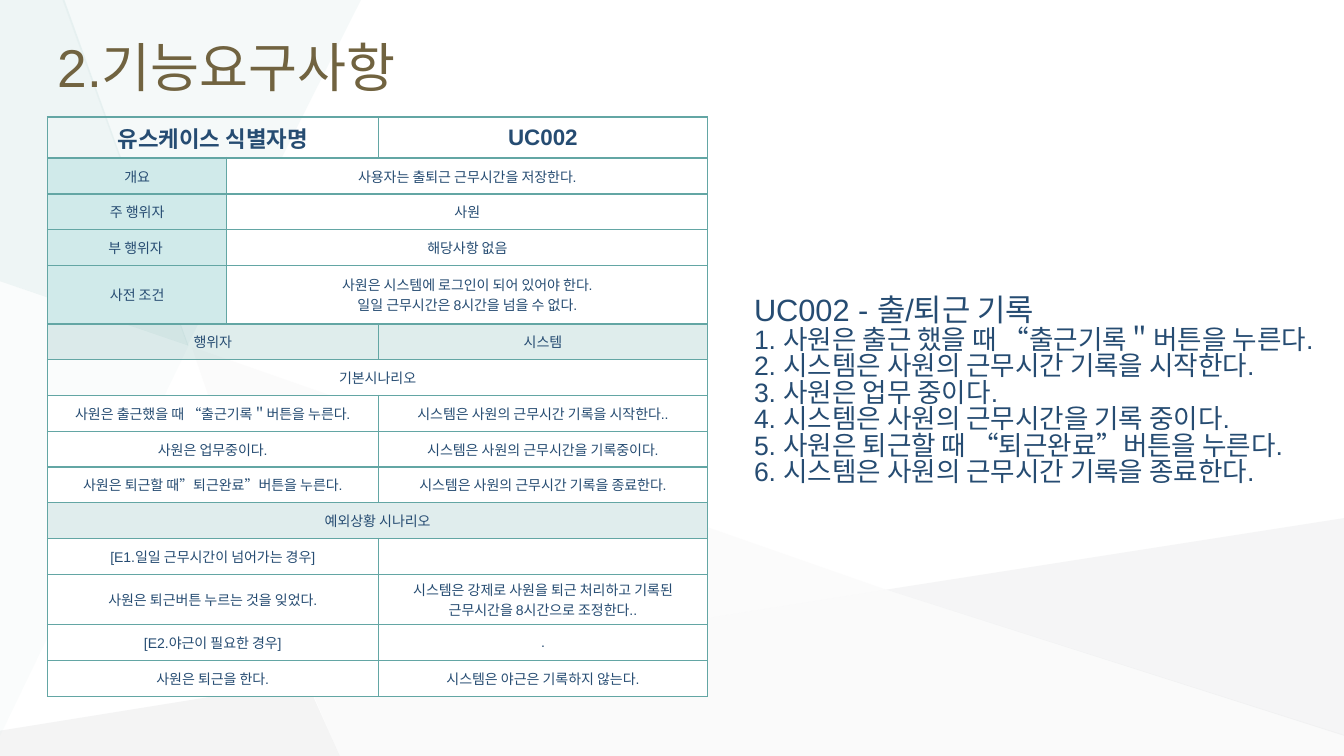
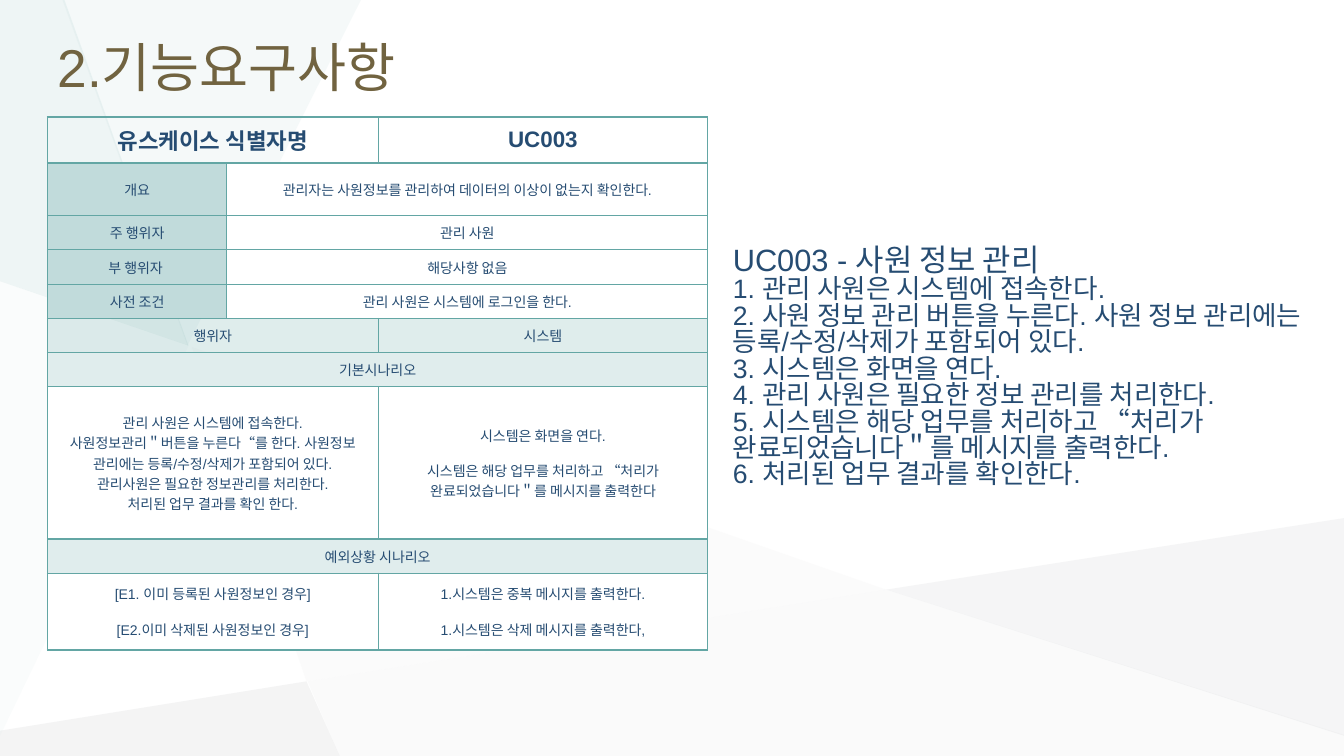
from pptx import Presentation
from pptx.dml.color import RGBColor
from pptx.enum.text import MSO_ANCHOR, PP_ALIGN
from pptx.oxml import parse_xml
from pptx.oxml.ns import nsdecls, qn
from pptx.util import Inches, Pt

LEFT, CENTER = PP_ALIGN.LEFT, PP_ALIGN.CENTER
MIDDLE = MSO_ANCHOR.MIDDLE

FONT = "Arial"
NAVY = RGBColor(0x26, 0x4C, 0x72)
OLIVE = RGBColor(0x71, 0x63, 0x40)
TEAL = RGBColor(0x63, 0xA6, 0xA4)
AQUA = RGBColor(0xD0, 0xEA, 0xEA)
SAGE = RGBColor(0xC1, 0xDB, 0xDB)
MINT = RGBColor(0xE0, 0xED, 0xED)
WHITE = RGBColor(0xFF, 0xFF, 0xFF)
PALE = RGBColor(0xF3, 0xF2, 0xF2)
SILVER = RGBColor(0xC6, 0xC8, 0xCA)
GRAY = RGBColor(0xB6, 0xB8, 0xBA)

TITLE = "2.기능요구사항"
COLS = [1.78, 1.5, 3.27]

# Facets of the background: colour, opacity in percent, corners
FACETS = [
    (PALE, 26, [(1.9, 3.44), (3.04, 6.76), (8.79, 5.85)]),
    (GRAY, 15, [(3.04, 6.76), (0, 7.25), (0, 7.5), (3.37, 7.5)]),
    (MINT, 31, [(3.58, 0), (0.62, 0), (1.86, 3.43)]),
    (SILVER, 17, [(13.33, 5.14), (8.79, 5.85), (13.33, 7.3)]),
    (GRAY, 6, [(8.79, 5.85), (3.05, 6.76), (3.37, 7.5), (13.33, 7.5),
               (13.33, 7.29)]),
    (SAGE, 27, [(0.64, 0), (0, 0), (0, 2.79), (1.87, 3.43)]),
    (SAGE, 8, [(0, 2.79), (0, 7.3), (1.87, 3.43)]),
]

# Row kinds: (first column, last column, fill, opacity) for each cell
HEAD = [(0, 1, None, 100), (2, 2, None, 100)]
AQUA_ROW = [(0, 0, AQUA, 100), (1, 2, WHITE, 100)]
SAGE_ROW = [(0, 0, SAGE, 100), (1, 2, WHITE, 100)]
ROLES = [(0, 1, TEAL, 20), (2, 2, TEAL, 20)]
CLEAR = [(0, 2, None, 100)]
BAND = [(0, 2, MINT, 100)]
PAIR = [(0, 1, WHITE, 100), (2, 2, WHITE, 100)]

# A blank line in a cell's text stands for a gap between its paragraphs
CASES = [
    {
        "rows": [
            (0.41, HEAD, ["유스케이스 식별자명", "UC002"]),
            (0.355, AQUA_ROW, ["개요", "사용자는 출퇴근 근무시간을 저장한다."]),
            (0.355, AQUA_ROW, ["주 행위자", "사원"]),
            (0.355, AQUA_ROW, ["부 행위자 ", "해당사항 없음"]),
            (0.58, AQUA_ROW, ["사전 조건",
                              "사원은 시스템에 로그인이 되어 있어야 한다.\n"
                              "일일 근무시간은 8시간을 넘을 수 없다."]),
            (0.355, ROLES, ["행위자", "시스템"]),
            (0.355, CLEAR, ["기본시나리오"]),
            (0.355, PAIR, ["사원은 출근했을 때 “출근기록＂버튼을 누른다.",
                           "시스템은 사원의 근무시간 기록을 시작한다.."]),
            (0.355, PAIR, ["사원은 업무중이다.",
                           "시스템은 사원의 근무시간을 기록중이다."]),
            (0.355, PAIR, ["사원은 퇴근할 때”퇴근완료”버튼을 누른다.",
                           "시스템은 사원의 근무시간 기록을 종료한다."]),
            (0.355, BAND, ["예외상황 시나리오"]),
            (0.355, PAIR, ["[E1.일일 근무시간이 넘어가는 경우]", ""]),
            (0.5, PAIR, ["사원은 퇴근버튼 누르는 것을 잊었다.",
                         "시스템은 강제로 사원을 퇴근 처리하고 기록된 "
                         "근무시간을 8시간으로 조정한다.."]),
            (0.355, PAIR, ["[E2.야근이 필요한 경우]", "."]),
            (0.355, PAIR, ["사원은 퇴근을 한다.",
                           "시스템은 야근은 기록하지 않는다."]),
        ],
        "box": (7.38, 2.9, 5.85, 2.39),
        "steps": [
            "UC002 - 출/퇴근 기록",
            "1. 사원은 출근 했을 때 “출근기록＂버튼을 누른다.",
            "2. 시스템은 사원의 근무시간 기록을 시작한다.",
            "3. 사원은 업무 중이다.",
            "4. 시스템은 사원의 근무시간을 기록 중이다.",
            "5. 사원은 퇴근할 때 “퇴근완료”버튼을 누른다.",
            "6. 시스템은 사원의 근무시간 기록을 종료한다.",
        ],
    },
    {
        "rows": [
            (0.46, HEAD, ["유스케이스 식별자명", "UC003"]),
            (0.52, SAGE_ROW, ["개요", "관리자는 사원정보를 관리하여 데이터의 "
                                     "이상이 없는지 확인한다."]),
            (0.34, SAGE_ROW, ["주 행위자", "관리 사원"]),
            (0.34, SAGE_ROW, ["부 행위자 ", "해당사항 없음"]),
            (0.34, SAGE_ROW, ["사전 조건", "관리 사원은 시스템에 로그인을 한다."]),
            (0.34, ROLES, ["행위자", "시스템"]),
            (0.34, BAND, ["기본시나리오"]),
            (1.51, PAIR, ["관리 사원은 시스템에 접속한다.\n"
                          "사원정보관리＂버튼을 누른다“를 한다. 사원정보 "
                          "관리에는 등록/수정/삭제가 포함되어 있다.\n"
                          "관리사원은 필요한 정보관리를 처리한다.\n"
                          "처리된 업무 결과를 확인 한다.",
                          "시스템은 화면을 연다.\n\n"
                          "시스템은 해당 업무를 처리하고 “처리가 "
                          "완료되었습니다＂를 메시지를 출력한다"]),
            (0.34, BAND, ["예외상황 시나리오"]),
            (0.76, PAIR, ["[E1. 이미 등록된 사원정보인 경우]\n\n"
                          "[E2.이미 삭제된 사원정보인 경우]",
                          "1.시스템은 중복 메시지를 출력한다.\n\n"
                          "1.시스템은 삭제 메시지를 출력한다,"]),
        ],
        "box": (7.17, 2.4, 5.91, 3.03),
        "steps": [
            "UC003 - 사원 정보 관리",
            "1. 관리 사원은 시스템에 접속한다.",
            "2. 사원 정보 관리 버튼을 누른다. 사원 정보 관리에는 "
            "등록/수정/삭제가 포함되어 있다.",
            "3. 시스템은 화면을 연다.",
            "4. 관리 사원은 필요한 정보 관리를 처리한다.",
            "5. 시스템은 해당 업무를 처리하고 “처리가 완료되었습니다＂를 "
            "메시지를 출력한다.",
            "6. 처리된 업무 결과를 확인한다.",
        ],
    },
]


def paint(fill, node, color, alpha):
    """Fill with a colour; node is the XML element that holds the fill."""
    if color is None:
        fill.background()
        return
    fill.solid()
    fill.fore_color.rgb = color
    if alpha < 100:
        tint = list(node.iter(qn("a:srgbClr")))[-1]
        tint.append(parse_xml(
            f'<a:alpha {nsdecls("a")} val="{alpha * 1000}"/>'))


def style(par, size, color, align, bold=False):
    par.alignment = align
    par.font.name = FONT
    par.font.size = Pt(size)
    par.font.bold = bold
    par.font.color.rgb = color


deck = Presentation()
deck.slide_width, deck.slide_height = Inches(13.33), Inches(7.5)
layout = deck.slide_layouts[5]
slides = [deck.slides.add_slide(layout) for case in CASES]

# The facets are drawn once, then moved to the shared layout
anchor = layout.placeholders[0].element
for color, alpha, points in FACETS:
    start, *rest = [(Inches(x), Inches(y)) for x, y in points]
    pen = slides[0].shapes.build_freeform(*start)
    pen.add_line_segments(rest, close=True)
    facet = pen.convert_to_shape()
    facet.shadow.inherit = False
    facet.line.fill.background()
    paint(facet.fill, facet.element, color, alpha)
    anchor.addprevious(facet.element)

for slide, case in zip(slides, CASES):
    title = slide.shapes.title
    title.left, title.top = Inches(0.47), Inches(0.14)
    title.width, title.height = Inches(12.36), Inches(1.03)
    title.text_frame.text = TITLE
    title.text_frame.vertical_anchor = MIDDLE
    style(title.text_frame.paragraphs[0], 38, OLIVE, LEFT)

    rows = case["rows"]
    frame = slide.shapes.add_table(
        len(rows), len(COLS), Inches(0.47), Inches(1.16),
        Inches(sum(COLS)), Inches(sum(row[0] for row in rows)))
    table = frame.table
    table.first_row = table.horz_banding = False
    for col, width in zip(table.columns, COLS):
        col.width = Inches(width)

    for r, (height, kind, texts) in enumerate(rows):
        table.rows[r].height = Inches(height)
        for c in range(len(COLS)):
            props = table.cell(r, c)._tc.get_or_add_tcPr()
            for side in "LRTB":
                thick = (r, side) in [(0, "B"), (1, "T")]
                props.append(parse_xml(
                    f'<a:ln{side} {nsdecls("a")} w="{Pt(2 if thick else 1)}">'
                    f'<a:solidFill><a:srgbClr val="{TEAL}"/></a:solidFill>'
                    f'</a:ln{side}>'))
        for (first, last, color, alpha), text in zip(kind, texts):
            cell = table.cell(r, first)
            if last > first:
                cell.merge(table.cell(r, last))
            for c in range(first, last + 1):
                part = table.cell(r, c)
                part.margin_top = part.margin_bottom = Inches(0.02)
                paint(part.fill, part._tc, color, alpha)
            cell.vertical_anchor = MIDDLE
            cell.text_frame.text = text.replace("\n\n", "\n")
            for i, par in enumerate(cell.text_frame.paragraphs):
                style(par, 16 if r == 0 else 10, NAVY, CENTER, r == 0)
                if i and "\n\n" in text:
                    par.space_before = Pt(11)

    box = slide.shapes.add_textbox(*[Inches(n) for n in case["box"]])
    box.text_frame.word_wrap = True
    box.text_frame.text = "\n".join(case["steps"])
    for i, par in enumerate(box.text_frame.paragraphs):
        style(par, 19 if i else 22, NAVY, LEFT)
        par.line_spacing = 0.83

deck.save("out.pptx")
